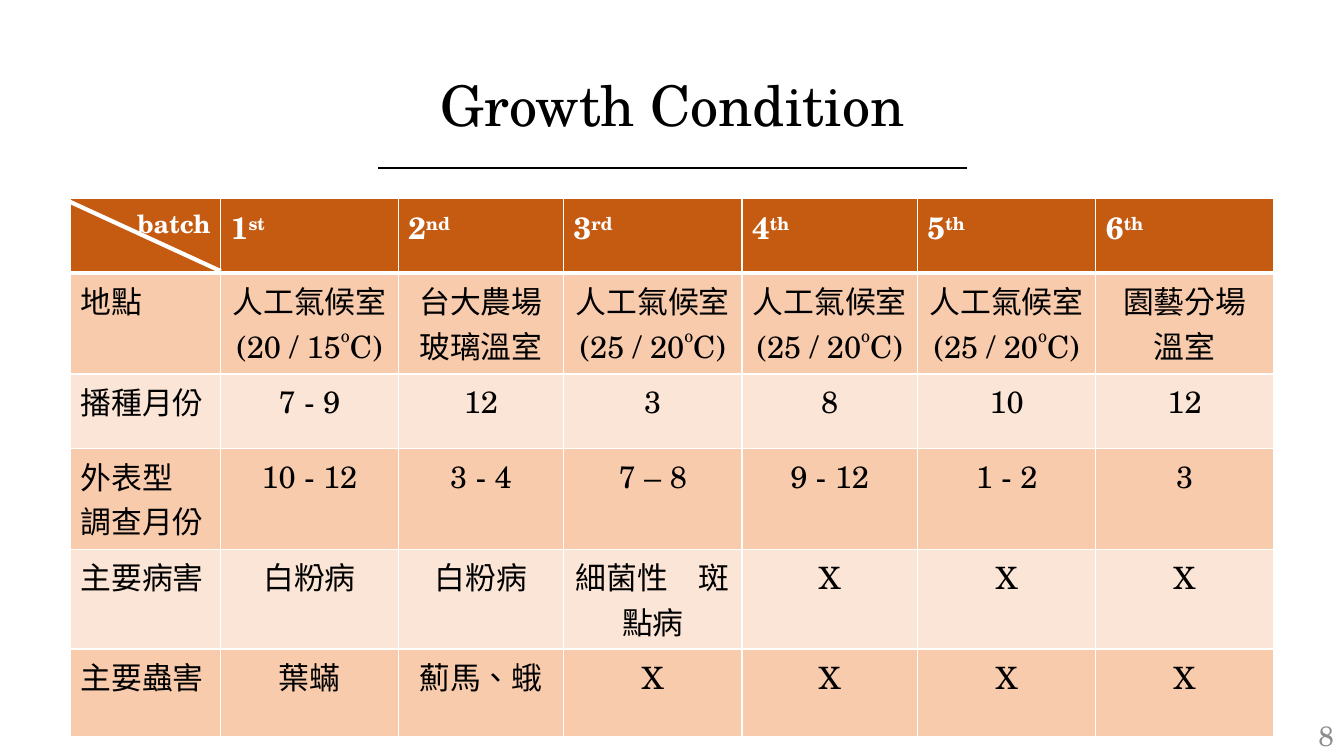
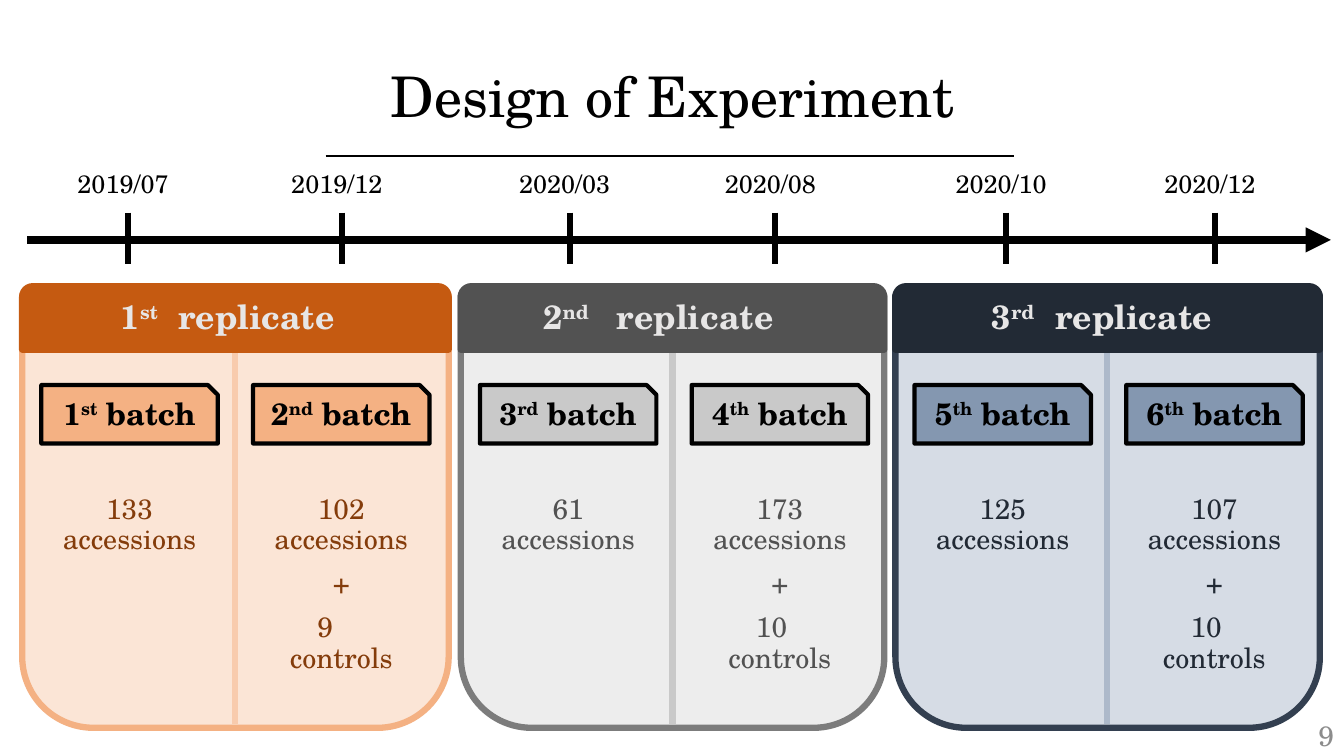
from dataclasses import dataclass

from lxml import etree
from pptx import Presentation
from pptx.dml.color import RGBColor
from pptx.enum.shapes import MSO_CONNECTOR, MSO_SHAPE
from pptx.enum.text import MSO_ANCHOR, PP_ALIGN
from pptx.oxml.ns import qn
from pptx.util import Pt

LEFT, CENTER, RIGHT = PP_ALIGN.LEFT, PP_ALIGN.CENTER, PP_ALIGN.RIGHT
MIDDLE = MSO_ANCHOR.MIDDLE
STRAIGHT = MSO_CONNECTOR.STRAIGHT
ROUND_TOP = MSO_SHAPE.ROUND_2_SAME_RECTANGLE
SNIPPED = MSO_SHAPE.SNIP_1_RECTANGLE
PX = 9144  # 100 px to the inch


@dataclass(frozen=True)
class Theme:
    font: str = "TeX Gyre Schola"
    black: str = "000000"
    white: str = "FFFFFF"
    number_grey: str = "8C8C8C"
    heading_grey: str = "E7E6E6"
    table_header: str = "C55A11"
    table_bands: tuple = ("F8CBAD", "FBE5D6")
    title_size: int = 40
    heading_size: int = 24
    label_size: int = 22
    text_size: int = 20
    small_size: int = 18


theme = Theme()


def write(frame, lines, size, color, alignment=LEFT, bold=False,
          spacing=0.9, before=0, tab=None):
    """Write one paragraph per line; text between ^ marks is superscript."""
    frame.word_wrap = True
    for index, line in enumerate(lines):
        paragraph = frame.paragraphs[0] if index == 0 else frame.add_paragraph()
        if tab:
            tabs = etree.SubElement(paragraph._p.get_or_add_pPr(), qn("a:tabLst"))
            etree.SubElement(tabs, qn("a:tab"), pos=str(tab * PX), algn="l")
        paragraph.alignment = alignment
        paragraph.line_spacing = spacing
        if index:
            paragraph.space_before = Pt(before)
        for position, text in enumerate(line.split("^")):
            if not text:
                continue
            run = paragraph.add_run()
            run.text = text
            run.font.name = theme.font
            run.font.size = Pt(size)
            run.font.bold = bold
            run.font.color.rgb = RGBColor.from_string(color)
            if not text.isascii():
                run._r.get_or_add_rPr().set("lang", "zh-TW")
            if position % 2:
                raised = "50000" if text == "o" else "30000"
                run._r.get_or_add_rPr().set("baseline", raised)


def draw_line(slide, ends, color, width, arrow=False):
    connector = slide.shapes.add_connector(STRAIGHT, *[n * PX for n in ends])
    connector.line.color.rgb = RGBColor.from_string(color)
    connector.line.width = Pt(width)
    if arrow:
        etree.SubElement(connector.line._get_or_add_ln(), qn("a:tailEnd"), type="triangle")
    etree.SubElement(connector._element.spPr, qn("a:effectLst"))


presentation = Presentation()
presentation.slide_width, presentation.slide_height = 1333 * PX, 750 * PX

# Shared title, rule and page number
slides = []
for title, top, rule, number in (
    ("Growth Condition", 35, (375, 167, 959, 167), "8"),
    ("Design of Experiment", 26, (323, 155, 1006, 155), "9"),
):
    slide = presentation.slides.add_slide(presentation.slide_layouts[6])
    slides.append(slide)
    for text, box, size, color, alignment in (
        (title, (92, top, 1150, 145), theme.title_size, theme.black, CENTER),
        (number, (1033, 712, 300, 40), theme.text_size, theme.number_grey, RIGHT),
    ):
        frame = slide.shapes.add_textbox(*[n * PX for n in box]).text_frame
        frame.vertical_anchor = MIDDLE
        write(frame, [text], size, color, alignment)
    draw_line(slide, rule, theme.black, 1.5)
growth, design = slides

# Growth condition table
WARM_ROOM = "人工氣候室\n(25 / 20^o^C)"
rows = (
    ("batch", "1^st^", "2^nd^", "3^rd^", "4^th^", "5^th^", "6^th^"),
    ("地點", "人工氣候室\n(20 / 15^o^C)", "台大農場玻璃溫室",
     WARM_ROOM, WARM_ROOM, WARM_ROOM, "園藝分場\n溫室"),
    ("播種月份", "7 - 9", "12", "3", "8", "10", "12"),
    ("外表型\n調查月份", "10 - 12", "3 - 4", "7 – 8", "9 - 12", "1 - 2", "3"),
    ("主要病害", "白粉病", "白粉病", "細菌性　斑點病", "X", "X", "X"),
    ("主要蟲害", "葉蟎", "薊馬、蛾", "X", "X", "X", "X"),
)
column_widths = (149, 176, 164, 177, 174, 177, 176)
row_heights = (74, 100, 74, 100, 99, 87)
table = growth.shapes.add_table(
    len(rows), len(column_widths), 70 * PX, 197 * PX,
    sum(column_widths) * PX, sum(row_heights) * PX).table
table.horz_banding = False
for column, width in zip(table.columns, column_widths):
    column.width = width * PX
for row, height in zip(table.rows, row_heights):
    row.height = height * PX

for row_index, row in enumerate(rows):
    header = row_index == 0
    fill = theme.table_header if header else theme.table_bands[(row_index - 1) % 2]
    borders = {"lnL": 1, "lnR": 1, "lnT": 3 if row_index == 1 else 1, "lnB": 3 if header else 1}
    for column_index, text in enumerate(row):
        cell = table.cell(row_index, column_index)
        corner = header and column_index == 0
        if corner:
            alignment = RIGHT
        else:
            alignment = LEFT if header or column_index == 0 else CENTER
        write(cell.text_frame, text.split("\n"),
              theme.small_size if corner else theme.label_size,
              theme.white if header else theme.black,
              alignment, bold=header, spacing=None)
        properties = cell._tc.get_or_add_tcPr()
        for side, width in borders.items():
            border = etree.SubElement(properties, qn("a:" + side), w=str(Pt(width)))
            solid = etree.SubElement(border, qn("a:solidFill"))
            etree.SubElement(solid, qn("a:srgbClr"), val=theme.white)
        cell.fill.solid()
        cell.fill.fore_color.rgb = RGBColor.from_string(fill)
draw_line(growth, (69, 200, 219, 269), theme.white, 3)

# Timeline
draw_line(design, (27, 238, 1320, 238), theme.black, 6, arrow=True)
for x, date in ((127, "2019/07"), (339, "2019/12"), (565, "2020/03"),
                (769, "2020/08"), (998, "2020/10"), (1205, "2020/12")):
    draw_line(design, (x, 211, x, 262), theme.black, 4.5)
    box = design.shapes.add_textbox((x - 60) * PX, 165 * PX, 121 * PX, 44 * PX)
    write(box.text_frame, [date], theme.small_size, theme.black)

# Replicates: left, width, heading, heading box left, heading tab,
# colours (body, outline, divider, heading band, card, text), batches
replicates = (
    (22, 423, "1^st^\treplicate", 110, 57,
     ("FBE5D6", "F4B183", "F8CBAD", "C55A11", "F4B183", "843C0B"),
     (("1^st^ batch", "133", None), ("2^nd^ batch", "102", "9"))),
    (457, 420, "2^nd^\treplicate", 529, 73,
     ("EDEDED", "7C7C7C", "C9C9C9", "525252", "C9C9C9", "525252"),
     (("3^rd^ batch", "61", None), ("4^th^ batch", "173", "10"))),
    (888, 421, "3^rd^\treplicate", 974, 63,
     ("D6DCE5", "333F50", "ADB9CA", "222A35", "8497B0", "222A35"),
     (("5^th^ batch", "125", None), ("6^th^ batch", "107", "10"))),
)
for left, width, heading, heading_left, tab, colors, batches in replicates:
    body, outline, divider, band, card_color, text_color = colors
    middle = left + width // 2

    # Panel, divider, heading band and batch cards
    parts = [(ROUND_TOP, (left, 293, width, 429), body, outline, 4.5),
             (ROUND_TOP, (left, 284, width, 63), band, band, 4.5)]
    cards = [(SNIPPED, (left + offset, 382, 175, 58), card_color, theme.black, 3)
             for offset in (19, 229)]
    shapes = []
    for kind, place, fill, line_color, line_width in parts + cards:
        shape = design.shapes.add_shape(kind, *[n * PX for n in place])
        shape.shadow.inherit = False
        shape.fill.solid()
        shape.fill.fore_color.rgb = RGBColor.from_string(fill)
        shape.line.color.rgb = RGBColor.from_string(line_color)
        shape.line.width = Pt(line_width)
        shapes.append(shape)
        if len(shapes) == 1:
            shape.rotation = 180
            draw_line(design, (middle, 329, middle, 718), divider, 4.5)

    box = design.shapes.add_textbox(heading_left * PX, 293 * PX, 312 * PX, 53 * PX)
    write(box.text_frame, [heading], theme.heading_size, theme.heading_grey, bold=True, tab=tab)

    # Batch names and counts
    for card, (name, accessions, controls) in zip(shapes[2:], batches):
        card.text_frame.vertical_anchor = MIDDLE
        card.text_frame.margin_left = 10 * PX
        card.text_frame.margin_right = 5 * PX
        card.text_frame.margin_top = 2 * PX
        write(card.text_frame, [name], theme.label_size, theme.black, CENTER, bold=True)
        lines = [accessions + " accessions"]
        if controls:
            lines += ["+", controls, "controls"]
        box = design.shapes.add_textbox(card.left + 11 * PX, 486 * PX, 153 * PX, 41 * PX)
        write(box.text_frame, lines, theme.text_size, text_color, CENTER, before=10)
        if controls:
            count, label = box.text_frame.paragraphs[2:]
            count.alignment = LEFT
            count._p.get_or_add_pPr().set("marL", str(43 * PX))
            label.space_before = Pt(0)

presentation.save("out.pptx")
